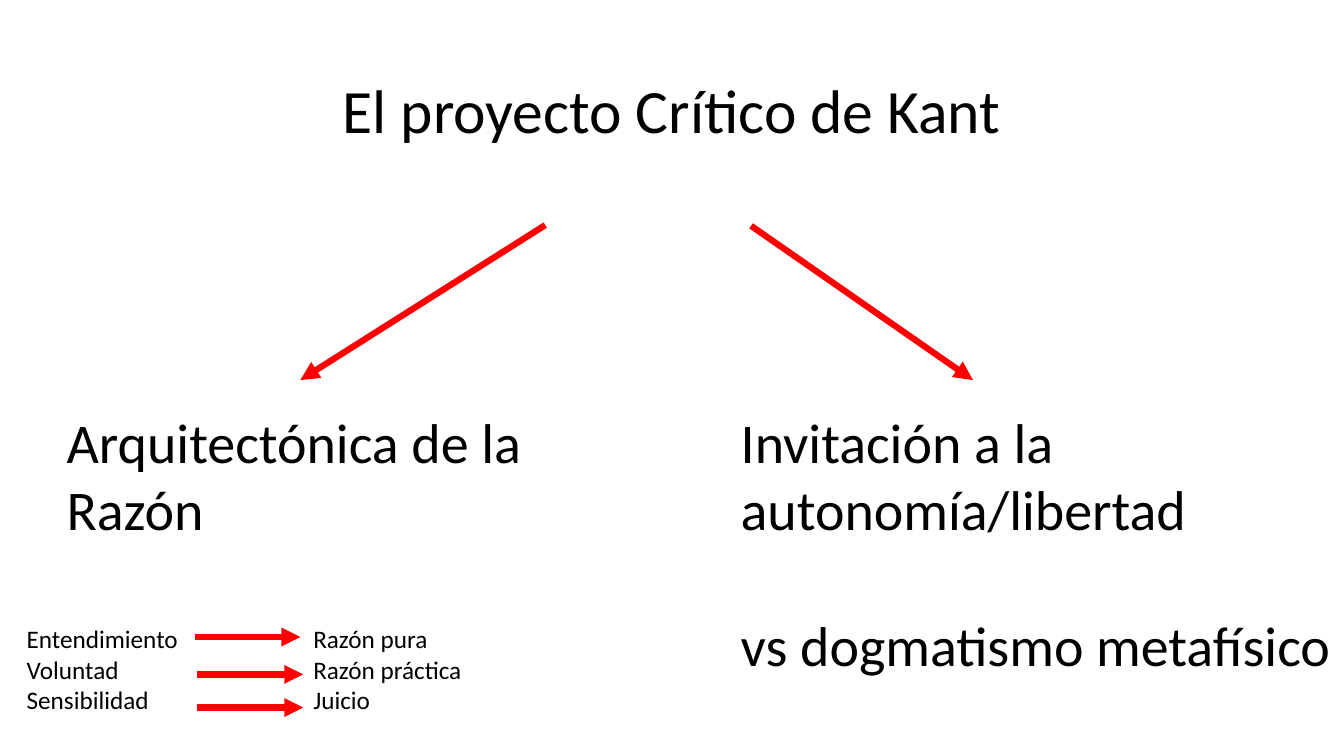
from lxml import etree
from pptx import Presentation
from pptx.dml.color import RGBColor
from pptx.enum.shapes import MSO_CONNECTOR as CONN
from pptx.enum.text import MSO_ANCHOR as ANCHOR, PP_ALIGN as ALIGN
from pptx.oxml.ns import qn
from pptx.util import Pt

COLORS = {"text": "000000", "arrow": "FF0000", "background": "FFFFFF"}


def write(tf, text, size=18, font="Calibri", color="text", align=ALIGN.LEFT,
          line=1.0, gap=0):
    tf.word_wrap = True
    for i, words in enumerate(text.split("\n")):
        p = tf.paragraphs[0] if i == 0 else tf.add_paragraph()
        p.alignment = align
        p.line_spacing = line
        p.space_before = Pt(gap if i else 0)
        r = p.add_run()
        r.text = words
        r.font.name = font
        r.font.size = Pt(size)
        r.font.color.rgb = RGBColor.from_string(COLORS[color])


class Deck:
    def __init__(self, width, height):
        self.prs = Presentation()
        self.prs.slide_width = Pt(width)
        self.prs.slide_height = Pt(height)
        self.s = self.prs.slides.add_slide(self.prs.slide_layouts[5])
        fill = self.s.background.fill
        fill.solid()
        fill.fore_color.rgb = RGBColor.from_string(COLORS["background"])

    def title(self, text, x, y, w, h):
        sp = self.s.shapes.title
        sp.left, sp.top, sp.width, sp.height = Pt(x), Pt(y), Pt(w), Pt(h)
        sp.text_frame.vertical_anchor = ANCHOR.MIDDLE
        write(sp.text_frame, text, size=44, align=ALIGN.CENTER, line=0.9)

    def text(self, text, x, y, w, h, **style):
        sp = self.s.shapes.add_textbox(Pt(x), Pt(y), Pt(w), Pt(h))
        write(sp.text_frame, text, **style)

    def arrow(self, x1, y1, x2, y2):
        sp = self.s.shapes.add_connector(
            CONN.STRAIGHT, Pt(x1), Pt(y1), Pt(x2), Pt(y2))
        sp.line.color.rgb = RGBColor.from_string(COLORS["arrow"])
        sp.line.width = Pt(4.5)
        pr = sp._element.spPr
        etree.SubElement(pr.find(qn("a:ln")), qn("a:tailEnd"), type="triangle")
        etree.SubElement(pr, qn("a:effectLst"))


def main():
    deck = Deck(960, 540)
    deck.title("El proyecto Crítico de Kant", 66, 28.75, 828, 104.4)

    deck.text("Arquitectónica de la Razón", 40.5, 287.5, 417, 104.4, size=40)
    deck.text("Invitación a la autonomía/libertad\nvs dogmatismo metafísico",
              522, 287.5, 472, 201, size=40, gap=48.8)
    deck.arrow(389.5, 160.8, 214.5, 271.5)
    deck.arrow(536.5, 161.3, 695, 271.5)

    deck.text("Entendimiento\nVoluntad\nSensibilidad", 12, 442, 271.5, 72.7)
    deck.text("Razón pura\nRazón práctica\nJuicio", 216.7, 442, 271.5, 72.7)
    for x, y in ((139, 455), (141, 481.7), (141, 505.4)):
        deck.arrow(x, y, x + 75.6, y)

    deck.prs.save("out.pptx")


if __name__ == "__main__":
    main()
